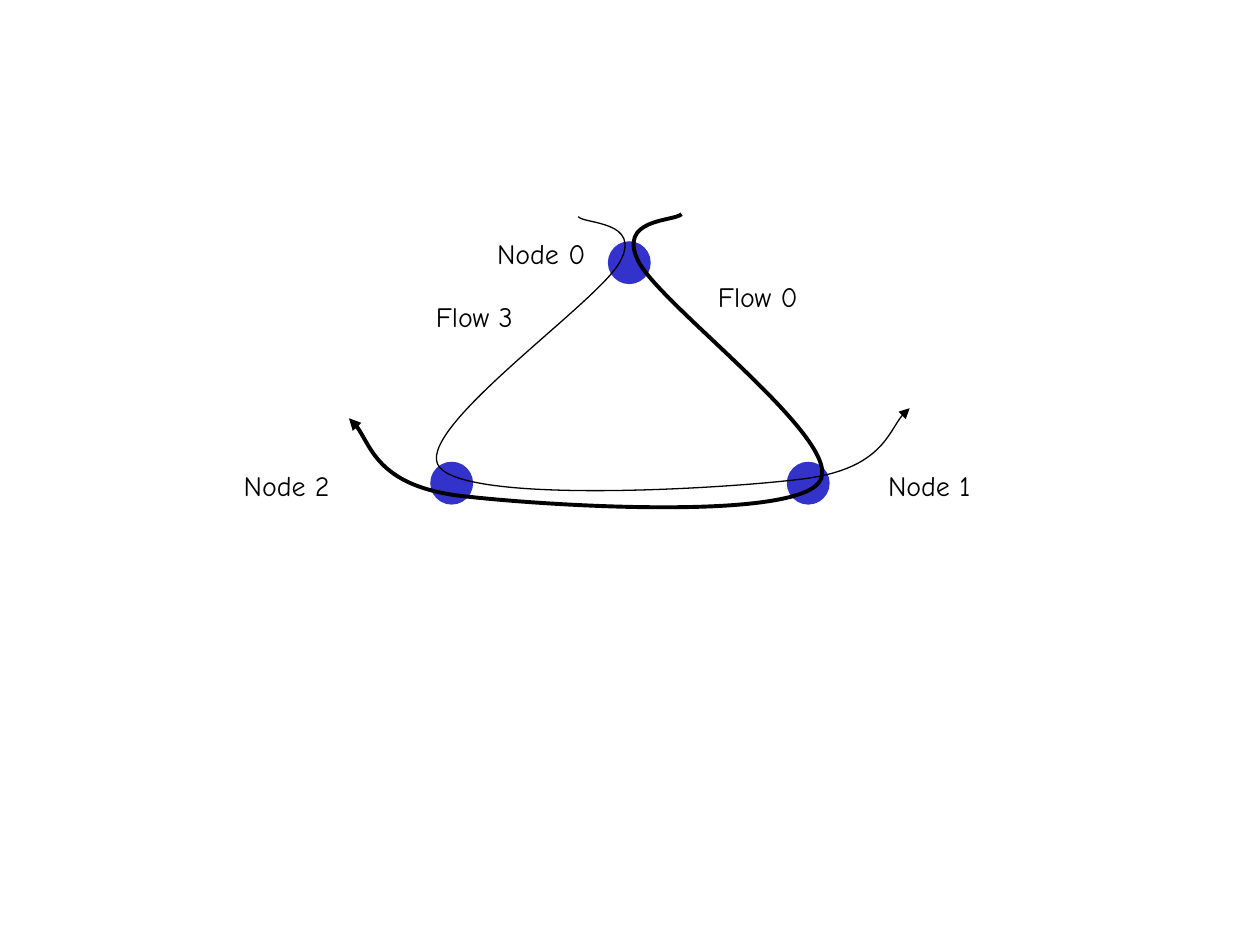
"""Build a slide of two flows crossing a ring of three nodes."""
from lxml.etree import Element, SubElement
from pptx import Presentation
from pptx.dml.color import RGBColor
from pptx.enum.shapes import MSO_SHAPE
from pptx.enum.text import MSO_ANCHOR, MSO_AUTO_SIZE, PP_ALIGN
from pptx.oxml.ns import qn
from pptx.util import Inches, Pt


def color(value):
    return RGBColor.from_string(value)


def add_label(page, text, left, top, width, height=0.37, size=16, font="Comic Neue", fill="000000"):
    box = page.shapes.add_textbox(Inches(left), Inches(top), Inches(width), Inches(height))
    frame = box.text_frame
    frame.word_wrap = False
    frame.auto_size = MSO_AUTO_SIZE.SHAPE_TO_FIT_TEXT
    frame.vertical_anchor = MSO_ANCHOR.TOP
    para = frame.paragraphs[0]
    para.alignment = PP_ALIGN.CENTER
    span = para.add_run()
    span.text = text
    span.font.size = Pt(size)
    span.font.name = font
    span.font.color.rgb = color(fill)


deck = Presentation()
deck.slide_width = Inches(10)
deck.slide_height = Inches(7.5)
page = deck.slides.add_slide(deck.slide_layouts[6])

diameter = Inches(0.33)
for left, top in [(4.83, 1.92), (6.25, 3.67), (3.42, 3.67)]:
    node = page.shapes.add_shape(MSO_SHAPE.OVAL, Inches(left), Inches(top), diameter, diameter)
    node.shadow.inherit = False
    node.fill.solid()
    node.fill.fore_color.rgb = color("3333CC")
    node.line.color.rgb = color("3333CC")
    node.line.width = Pt(0.75)

flows = [
    (2.25, [(5.41, 1.7),
            (5.35, 1.76), (4.89, 1.73), (5.07, 2.08),
            (5.26, 2.44), (6.74, 3.53), (6.5, 3.83),
            (6.26, 4.14), (4.24, 4.01), (3.61, 3.93),
            (2.99, 3.84), (2.91, 3.42), (2.77, 3.32)]),
    (0.75, [(4.59, 1.72),
            (4.64, 1.78), (5.1, 1.75), (4.92, 2.08),
            (4.74, 2.41), (3.25, 3.43), (3.49, 3.71),
            (3.74, 4), (5.76, 3.88), (6.38, 3.8),
            (7, 3.72), (7.08, 3.33), (7.22, 3.24)]),
]
for weight, points in flows:
    start, *controls = [(Inches(x), Inches(y)) for x, y in points]
    builder = page.shapes.build_freeform(*start)
    builder.add_line_segments(controls, close=False)
    flow = builder.convert_to_shape()
    flow.shadow.inherit = False
    flow.fill.background()
    flow.line.color.rgb = color("000000")
    flow.line.width = Pt(weight)
    segments = list(flow.element.iter(qn("a:lnTo")))
    for index in range(0, len(segments), 3):
        curve = Element(qn("a:cubicBezTo"))
        segments[index].addprevious(curve)
        for segment in segments[index:index + 3]:
            curve.append(segment[0])
            segment.getparent().remove(segment)
    outline = next(flow.element.iter(qn("a:ln")))
    SubElement(outline, qn("a:tailEnd"), type="triangle")

for text, left, top, width in [
    ("Node 0", 3.82, 1.83, 0.95),
    ("Flow 0", 5.58, 2.17, 0.87),
    ("Flow 3", 3.33, 2.33, 0.87),
    ("Node 1", 6.92, 3.67, 0.91),
    ("Node 2", 1.8, 3.67, 0.95),
]:
    add_label(page, text, left, top, width)

deck.save("out.pptx")
